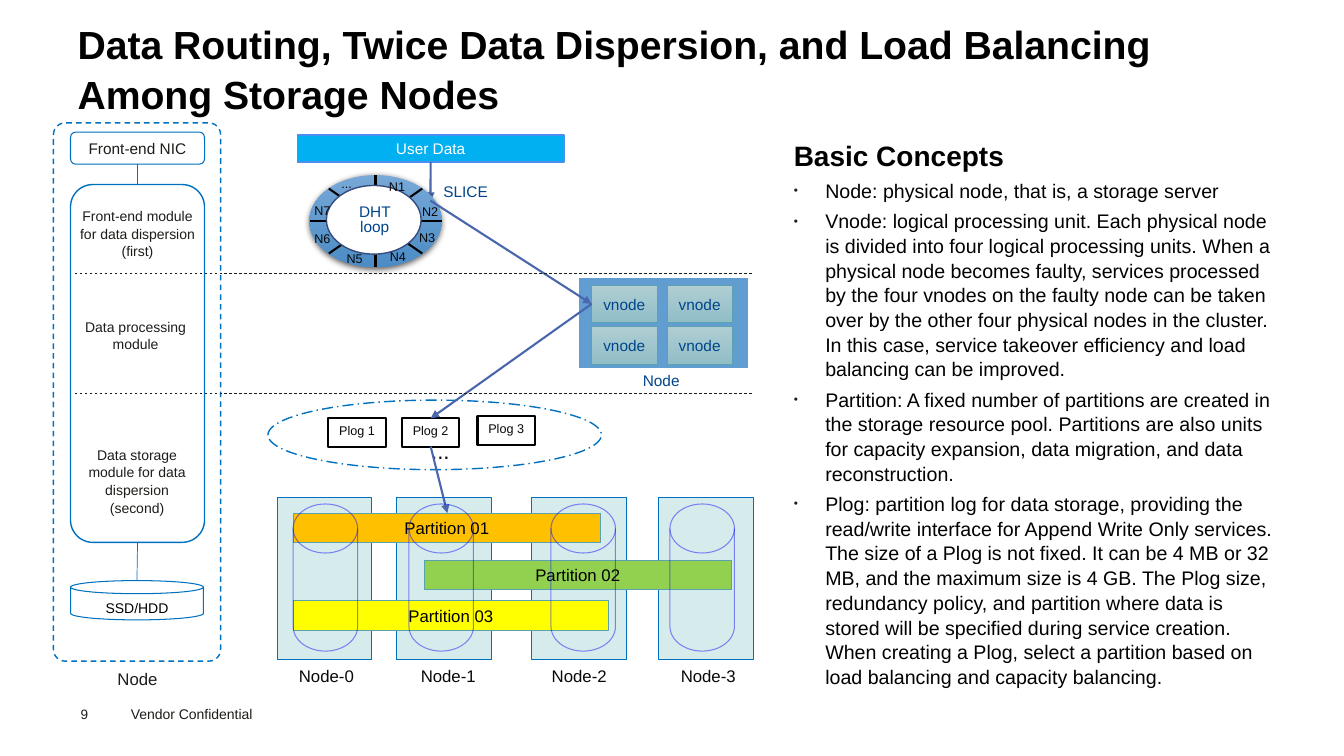
import math
from lxml import etree
from pptx import Presentation
from pptx.dml.color import RGBColor
from pptx.enum.dml import MSO_LINE
from pptx.enum.shapes import MSO_CONNECTOR, MSO_SHAPE
from pptx.enum.text import MSO_ANCHOR, PP_ALIGN
from pptx.oxml.ns import qn
from pptx.util import Pt

RECT, ROUND, OVAL = MSO_SHAPE.RECTANGLE, MSO_SHAPE.ROUNDED_RECTANGLE, MSO_SHAPE.OVAL
DISK, STRAIGHT = MSO_SHAPE.FLOWCHART_MAGNETIC_DISK, MSO_CONNECTOR.STRAIGHT
LEFT, CENTER, TOP, MIDDLE = PP_ALIGN.LEFT, PP_ALIGN.CENTER, MSO_ANCHOR.TOP, MSO_ANCHOR.MIDDLE
DASH, DASH_DOT = MSO_LINE.DASH, MSO_LINE.LONG_DASH_DOT

BLACK, WHITE, INK, LABEL, NAVY = map(
    RGBColor.from_string, ("000000", "FFFFFF", "1D1D1A", "080808", "00458B"))
BLUE, ARROW, SKY, SKY_LINE, LOOP_LINE = map(
    RGBColor.from_string, ("0070C0", "4A66AC", "00B0F0", "4A8EF2", "374B7F"))
RING_TOP, RING_BOTTOM, VNODE_TOP, VNODE_BOTTOM, NODE_FILL = map(
    RGBColor.from_string, ("77A8D7", "4C8CC5", "AFCDD3", "91BEC7", "629DD1"))
TEAL, PALE, VIOLET, ORANGE, GREEN, YELLOW = map(
    RGBColor.from_string, ("5AA2AE", "D6EBEB", "0505FB", "FFC000", "92D050", "FFFF00"))

SMALL = {"inset": (8.64, 4.32), "spacing": 0.8}
CENTERED = {"align": CENTER, "anchor": MIDDLE}
CONCEPTS = [
    "Node: physical node, that is, a storage server",
    "Vnode: logical processing unit. Each physical node is divided into four logical processing units. When a physical node becomes faulty, services processed by the four vnodes on the faulty node can be taken over by the other four physical nodes in the cluster. In this case, service takeover efficiency and load balancing can be improved.",
    "Partition: A fixed number of partitions are created in the storage resource pool. Partitions are also units for capacity expansion, data migration, and data reconstruction.",
    "Plog: partition log for data storage, providing the read/write interface for Append Write Only services. The size of a Plog is not fixed. It can be 4 MB or 32 MB, and the maximum size is 4 GB. The Plog size, redundancy policy, and partition where data is stored will be specified during service creation. When creating a Plog, select a partition based on load balancing and capacity balancing.",
]

def sub(parent, tag, **attrs):
    return etree.SubElement(parent, qn(tag), attrs)

def write(p, text, size, color, bold=False, **layout):
    r = p.add_run()
    r.text = text
    font = {"name": "Arial", "size": Pt(size), "bold": bold}
    for target, values in ((p, layout), (r.font, font)):
        for key, value in values.items():
            setattr(target, key, value)
    r.font.color.rgb = color

def fill_frame(sp, lines, size, color, bold=False, align=LEFT, anchor=TOP,
               inset=(7.2, 3.6), spacing=None):
    tf = sp.text_frame
    x, y = map(Pt, inset)
    frame = {"word_wrap": True, "vertical_anchor": anchor, "margin_left": x,
             "margin_right": x, "margin_top": y, "margin_bottom": y}
    for key, value in frame.items():
        setattr(tf, key, value)
    for i, line in enumerate(lines.split("\n")):
        p = tf.add_paragraph() if i else tf.paragraphs[0]
        write(p, line, size, color, bold, alignment=align, line_spacing=spacing)
    return tf

def text(s, box, lines, size, color, **fmt):
    return fill_frame(s.shapes.add_textbox(*map(Pt, box)), lines, size, color, **fmt)

def shape(s, kind, box, fill=None, line=None, width=1, dash=None, fade=None):
    sp = s.shapes.add_shape(kind, *map(Pt, box))
    sp.shadow.inherit = False
    if fill is None:
        sp.fill.background()
    elif fade is None:
        sp.fill.solid()
        sp.fill.fore_color.rgb = fill
    else:
        sp.fill.gradient()
        sp.fill.gradient_angle = 270
        for stop, color, position in zip(sp.fill.gradient_stops, (fill, fade), (0, 1)):
            stop.color.rgb = color
            stop.position = position
    if line is None:
        sp.line.fill.background()
    else:
        sp.line.color.rgb = line
        sp.line.width = Pt(width)
        sp.line.dash_style = dash
    return sp

def connect(s, start, end, color, width, dash=None, arrow=False, begin=None, finish=None):
    c = s.shapes.add_connector(STRAIGHT, *map(Pt, (*start, *end)))
    c.line.color.rgb = color
    c.line.width = Pt(width)
    c.line.dash_style = dash
    if arrow:
        sub(c.line._get_or_add_ln(), "a:tailEnd", type="triangle")
    sub(c._element.spPr, "a:effectLst")
    if begin:
        c.begin_connect(*begin)
    if finish:
        c.end_connect(*finish)

def draw_headings(s):
    text(s, (86.4, 500.4, 115.2, 19.4), "Vendor Confidential", 10, INK)
    text(s, (57.6, 504, 39.6, 11.5), "9", 9.7, INK, inset=(0, 0))
    title = "Data Routing, Twice Data Dispersion, and Load Balancing Among Storage Nodes"
    tf = text(s, (55.4, 9.4, 822.2, 38.2), title, 28, BLACK, bold=True, spacing=1.05)
    tf.margin_left = 0

def draw_concepts(s):
    tf = text(s, (560.2, 94.3, 360, 427), "Basic Concepts", 20, BLACK, bold=True, spacing=1.05)
    for concept in CONCEPTS:
        p = tf.add_paragraph()
        pPr = p._p.get_or_add_pPr()
        pPr.set("marL", str(Pt(22.5)))
        pPr.set("indent", str(Pt(-22.5)))
        sub(sub(pPr, "a:buClr"), "a:srgbClr", val=str(INK))
        sub(pPr, "a:buSzPct", val="60000")
        sub(pPr, "a:buFont", typeface="Arial")
        sub(pPr, "a:buChar", char="•")
        write(p, concept, 14, BLACK, line_spacing=1.05, space_before=Pt(4))

def draw_ring(s):
    cx, cy, rx, ry = 268.4, 157.9, 47.2, 32.8
    ring = shape(s, OVAL, (cx - rx, cy - ry, 2 * rx, 2 * ry), RING_TOP, fade=RING_BOTTOM)
    shadow = sub(ring._element.spPr.find(qn("a:effectLst")), "a:outerShdw",
                 blurRad=str(Pt(4.5)), dist=str(Pt(1.5)), dir="5400000")
    sub(sub(shadow, "a:srgbClr", val="000000"), "a:alpha", val="63000")
    for angle in map(math.radians, range(0, 180, 45)):
        dx, dy = rx * math.cos(angle), ry * math.sin(angle)
        connect(s, (cx - dx, cy - dy), (cx + dx, cy + dy), BLACK, 1.5)
    shape(s, OVAL, (233.3, 132.5, 67.7, 49), WHITE, LOOP_LINE)
    spots = [(269.3, 125.3), (293, 143.3), (290.9, 162), (270, 175.7),
             (239, 177.1), (216, 162.7), (216, 142.6)]
    for i, (x, y) in enumerate(spots, 1):
        text(s, (x, y, 29.5, 18), f"N{i}", 9, LABEL, **SMALL)
    text(s, (235.4, 123.1, 25.2, 18), "...", 9, LABEL, **SMALL)
    text(s, (238.3, 142.6, 59, 30.2), "DHT loop", 11, NAVY, align=CENTER, **SMALL)

def draw_routing(s, slice_point):
    user = shape(s, RECT, (212.4, 96.5, 190.8, 19.4), SKY, SKY_LINE)
    fill_frame(user, "User Data", 11, WHITE, **CENTERED)
    connect(s, (307.8, 115.9), slice_point, ARROW, 1.5, arrow=True, begin=(user, 2))
    draw_ring(s)
    text(s, (308.2, 128.2, 90, 19.4), "SLICE", 11, NAVY, **SMALL)
    shape(s, RECT, (413.3, 198, 121.7, 65.5), NODE_FILL, WHITE, 1.5)
    vnodes = [shape(s, RECT, (x, y, 46.8, 26.6), VNODE_TOP, TEAL, 0.5, fade=VNODE_BOTTOM)
              for y in (203.8, 233.5) for x in (422.8, 476.6)]
    for vnode in vnodes:
        fill_frame(vnode, "vnode", 11, NAVY, inset=(0, 0), **CENTERED)
    text(s, (450.7, 263.5, 56.2, 20.2), "Node", 11, NAVY, **SMALL)
    return vnodes[0]

def draw_storage(s, slice_point, vnode):
    shape(s, OVAL, (191.5, 285.8, 238.3, 49.7), None, BLUE, 1, DASH_DOT)
    plogs = [shape(s, RECT, (x, y, 41, 20.2), None, BLACK, 1.5)
             for x, y in ((234.7, 298.8), (287.3, 298.8), (341.3, 297.4))]
    for i, plog in enumerate(plogs, 1):
        fill_frame(plog, f"Plog {i}", 9, LABEL, align=CENTER)
    text(s, (301, 308.9, 61.9, 26.6), "...", 16, LABEL)
    for i, (x, center) in enumerate([(198, 233.3), (283.7, 320.4), (380.2, 414), (470.9, 506.2)]):
        shape(s, RECT, (x, 355.5, 67.7, 115.9), PALE, BLUE, 0.75)
        text(s, (center - 36, 472.3, 72, 21.6), f"Node-{i}", 12, LABEL, align=CENTER)
    routes = [(slice_point, (422.8, 217.1), None, (vnode, 1)),
              ((422.8, 217.1), (307.8, 298.8), (vnode, 1), (plogs[1], 0)),
              ((307.8, 319), (319.7, 366.5), (plogs[1], 2), None)]
    for start, end, begin, finish in routes:
        connect(s, start, end, ARROW, 1.5, arrow=True, begin=begin, finish=finish)
    partitions = [(209.5, 366.5, 219.6, ORANGE), (303.1, 400.3, 219.6, GREEN),
                  (209.5, 429.1, 225.4, YELLOW)]
    for i, (x, y, w, color) in enumerate(partitions, 1):
        bar = shape(s, RECT, (x, y, w, 20.9), color, TEAL, 0.5)
        fill_frame(bar, f"Partition 0{i}", 12, BLACK, **CENTERED)
    for x in (209.5, 292.3, 393.8, 478.8):
        disk = shape(s, DISK, (x, 360, 46.1, 105.1), None, VIOLET, 0.75)
        sub(disk.line._get_or_add_ln().find(qn("a:solidFill"))[0], "a:alpha", val="45000")

def draw_stack(s):
    text(s, (51.1, 474.5, 94.3, 20.2), "Node", 12, INK, align=CENTER, inset=(5, 2.9))
    outline = shape(s, ROUND, (38.2, 87.8, 119.5, 384.5), None, BLUE, 1, DASH)
    outline.adjustments[0] = 0.07
    modules = shape(s, ROUND, (50.4, 131.8, 95.8, 255.6), WHITE, BLUE)
    nic = shape(s, ROUND, (50.4, 94.3, 95.8, 23), None, BLUE, 0.75)
    fill_frame(nic, "Front-end NIC", 11, INK, inset=(5, 2.9), **CENTERED)
    connect(s, (98.3, 117.3), (98.3, 131.8), BLUE, 0.5, begin=(nic, 2), finish=(modules, 0))
    shape(s, DISK, (50.4, 414.7, 95, 28.1), None, BLUE, 0.75)
    text(s, (50.4, 424.8, 95, 19.4), "SSD/HDD", 10, BLACK, align=CENTER)
    connect(s, (98.3, 387.4), (97.9, 414.7), BLUE, 0.5, begin=(modules, 2))
    for y in (195.1, 280.8):
        connect(s, (53.3, y), (538.6, y), INK, 0.5, DASH)
    for box, caption in [
            ((48.2, 144, 100.1, 31.7), "Front-end module for data dispersion\n(first)"),
            ((46.8, 223.2, 100.1, 19.4), "Data processing module"),
            ((53.3, 314.6, 89.3, 31.7), "Data storage module for data dispersion\n(second)")]:
        text(s, box, caption, 10, INK, align=CENTER, spacing=1.05)

def main():
    prs = Presentation()
    prs.slide_width, prs.slide_height = Pt(960.5), Pt(540)
    s = prs.slides.add_slide(prs.slide_layouts[6])
    slice_point = (307.6, 143.3)
    draw_headings(s)
    draw_storage(s, slice_point, draw_routing(s, slice_point))
    draw_concepts(s)
    draw_stack(s)
    prs.save("out.pptx")

if __name__ == "__main__":
    main()
